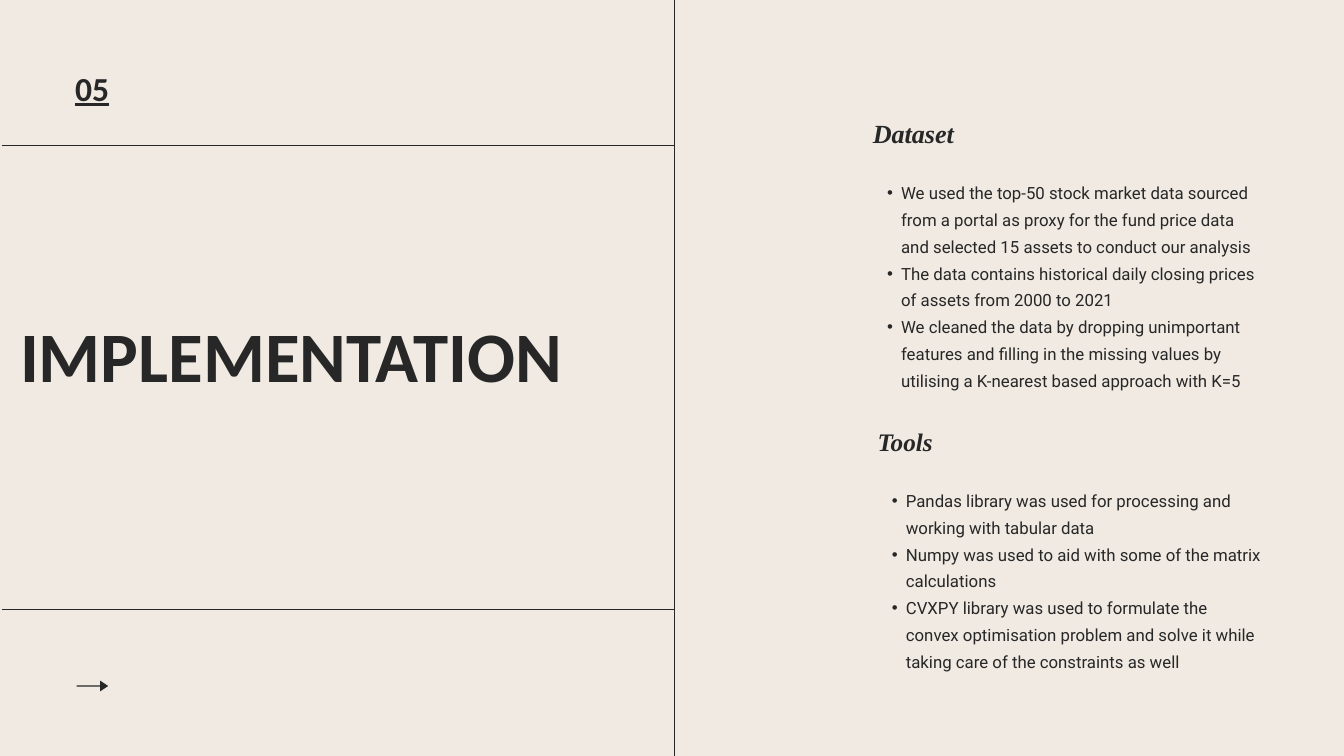
"""Build the Implementation slide with its dataset and tools lists."""
from lxml.etree import SubElement
from pptx import Presentation
from pptx.dml.color import RGBColor
from pptx.enum.shapes import MSO_CONNECTOR, MSO_SHAPE
from pptx.enum.text import MSO_ANCHOR, MSO_AUTO_SIZE, PP_ALIGN
from pptx.oxml.ns import qn
from pptx.util import Cm, Pt

INK = "272727"
PAPER = "F0EAE2"


def color(hex_code):
    return RGBColor.from_string(hex_code)


def write(box, place, lines, font, size, leading, bold=False, italic=False,
          underline=False, bulleted=False):
    box.left, box.top, box.width, box.height = [Cm(length) for length in place]
    frame = box.text_frame
    frame.text = "\n".join(lines)
    frame.word_wrap = True
    frame.auto_size = MSO_AUTO_SIZE.NONE
    frame.vertical_anchor = MSO_ANCHOR.TOP
    frame.margin_left = frame.margin_top = frame.margin_right = frame.margin_bottom = 0
    for paragraph in frame.paragraphs:
        paragraph.alignment = PP_ALIGN.LEFT
        paragraph.line_spacing = Pt(leading)
        paragraph.space_before = Pt(0)
        if bulleted:
            properties = paragraph._p.get_or_add_pPr()
            properties.set("marL", str(Cm(1.07)))
            properties.set("indent", str(-Cm(0.53)))
            SubElement(properties, qn("a:buFont"), typeface="Arial")
            SubElement(properties, qn("a:buChar"), char="•")
        for run in paragraph.runs:
            run.font.name = font
            run.font.size = Pt(size)
            run.font.bold = bold
            run.font.italic = italic
            run.font.underline = underline
            run.font.color.rgb = color(INK)


presentation = Presentation()
presentation.slide_width = Cm(50.8)
presentation.slide_height = Cm(28.58)
slide = presentation.slides.add_slide(presentation.slide_layouts.get_by_name("Comparison"))
slide.background.fill.solid()
slide.background.fill.fore_color.rgb = color(PAPER)

write(slide.shapes.title, (0.76, 12.32, 24.03, 2.79), ["IMPLEMENTATION"],
      "Calibri", 76, 76, bold=True)

divider = 25.49
for x1, y1, x2, y2 in [
    (divider, 0, divider, 28.58),
    (0.06, 23.02, divider, 23.02),
    (0.06, 5.48, divider, 5.48),
]:
    rule = slide.shapes.add_connector(MSO_CONNECTOR.STRAIGHT, Cm(x1), Cm(y1), Cm(x2), Cm(y2))
    rule.line.color.rgb = color(INK)
    rule.line.width = Pt(0.75)
    SubElement(rule._element.spPr, qn("a:effectLst"))

arrow = slide.shapes.add_shape(MSO_SHAPE.RIGHT_ARROW, Cm(2.9), Cm(25.73), Cm(1.19), Cm(0.41))
arrow.adjustments[0] = 0.13
arrow.adjustments[1] = 0.75
arrow.shadow.inherit = False
arrow.fill.solid()
arrow.fill.fore_color.rgb = color(INK)
arrow.line.fill.background()

sections = [
    ("Dataset", 28, 32.99, 4.24, 6.65, 7.92, [
        "We used the top-50 stock market data sourced from a portal as proxy for the fund "
        "price data and selected 15 assets to conduct our analysis",
        "The data contains historical daily closing prices of assets from 2000 to 2021",
        "We cleaned the data by dropping unimportant features and filling in the missing "
        "values by utilising a K-nearest based approach with K=5",
    ]),
    ("Tools", 27, 33.17, 15.93, 18.29, 6.93, [
        "Pandas library was used for processing and working with tabular data",
        "Numpy was used to aid with some of the matrix calculations",
        "CVXPY library was used to formulate the convex optimisation problem and solve it "
        "while taking care of the constraints as well",
    ]),
]
bodies = list(slide.placeholders)[1:]
for (heading, size, left, heading_top, list_top, list_height, points), heading_box, list_box in zip(
        sections, bodies[::2], bodies[1::2]):
    write(heading_box, (left, heading_top, 14.63, 1.3), [heading],
          "Times New Roman", size, 1.4 * size, bold=True, italic=True)
    write(list_box, (left, list_top, 14.63, list_height), points,
          "Roboto", 18, 28.8, bulleted=True)

section_number = slide.shapes.add_textbox(0, 0, 0, 0)
write(section_number, (2.84, 2.31, 2.29, 1.68), ["05"],
      "Calibri", 36, 50.4, bold=True, underline=True)

presentation.save("out.pptx")
